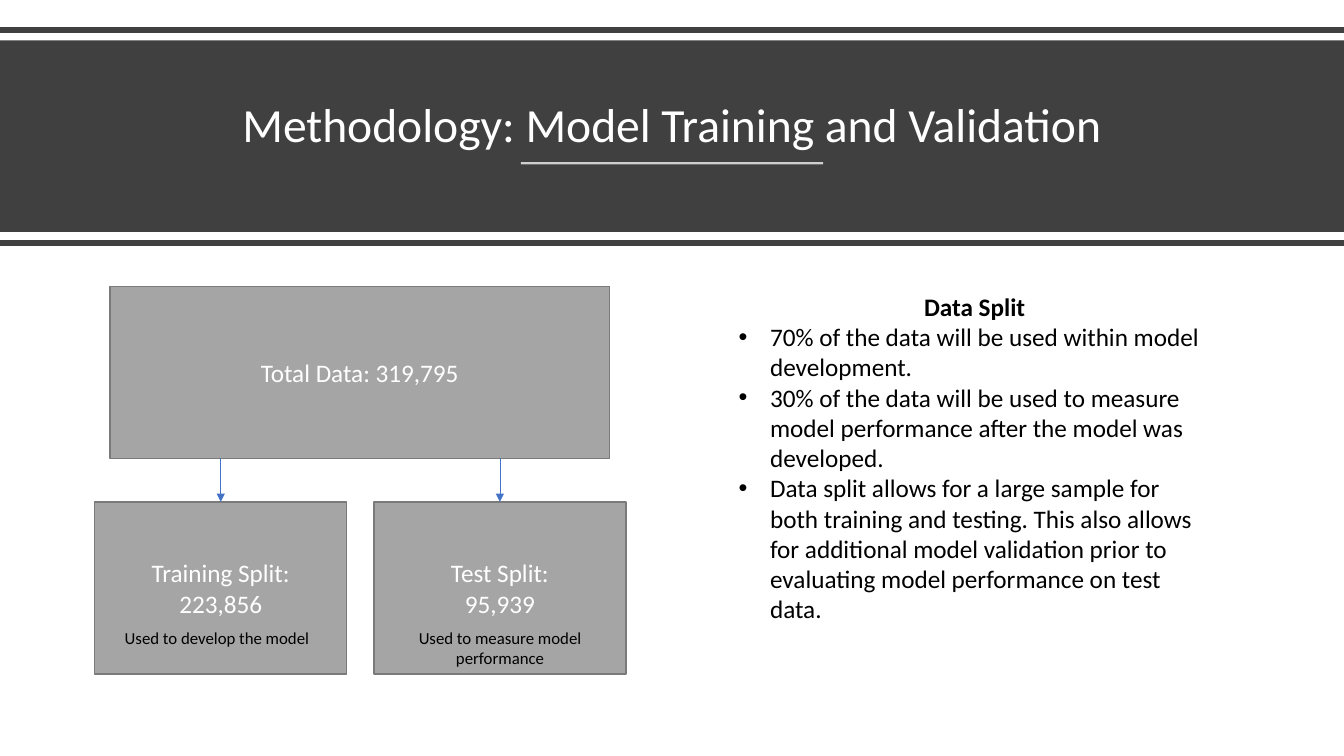
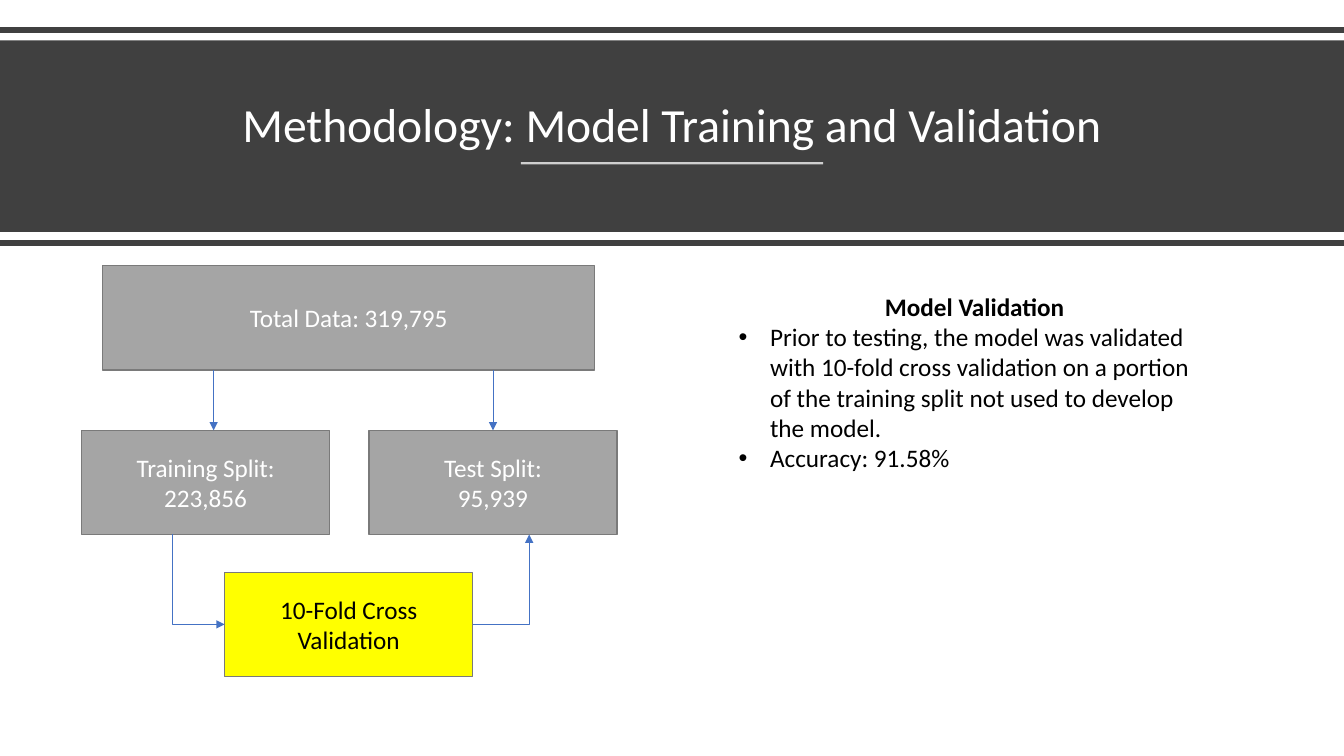
"""Build two slides on model training and validation."""
from dataclasses import dataclass

from lxml.etree import SubElement as Sub
from pptx import Presentation
from pptx.dml.color import RGBColor as RGB
from pptx.enum.shapes import MSO_CONNECTOR as Link, MSO_SHAPE as Form
from pptx.enum.text import MSO_ANCHOR as Anchor, MSO_AUTO_SIZE as Fit, PP_ALIGN as Align
from pptx.oxml.ns import qn
from pptx.util import Pt


@dataclass(frozen=True)
class Theme:
    font: str = "Calibri"
    dark: str = "404040"
    white: str = "FFFFFF"
    black: str = "000000"
    grey: str = "A5A5A5"
    edge: str = "7A7A7A"
    blue: str = "4472C4"
    yellow: str = "FFFF00"
    title: int = 34
    body: int = 18
    small: int = 12


class Deck:
    def __init__(self, theme):
        self.theme = theme
        self.show = Presentation()
        self.show.slide_width, self.show.slide_height = Pt(960), Pt(540)
        self.slide = None

    def page(self, title):
        look = self.theme
        self.slide = self.show.slides.add_slide(self.show.slide_layouts[6])
        self.line(0, 21.6, 960, 21.6, look.dark, 4)
        self.box(0, 28.8, 960, 136.8, fill=look.dark, edge=None)
        frame = self.text(42, 39, 876, 73.5, [title], look.title, look.white)
        frame.auto_size = Fit.NONE
        frame.vertical_anchor = Anchor.BOTTOM
        frame.paragraphs[0].line_spacing = 0.9
        rule = self.line(372, 116.6, 588, 116.6, look.white, 1.5)
        tint = next(rule.line._ln.iter(qn("a:srgbClr")))
        Sub(tint, qn("a:alpha"), val="75000")
        self.line(0, 173.5, 960, 173.5, look.dark, 4)

    def fill(self, frame, lines, size, color, align=Align.CENTER):
        frame.word_wrap = True
        for row, words in enumerate(lines):
            para = frame.add_paragraph() if row else frame.paragraphs[0]
            para.text = words
            para.alignment = align
            font = para.runs[0].font
            font.name, font.size = self.theme.font, Pt(size)
            font.color.rgb = RGB.from_string(color)

    def text(self, x, y, w, h, lines, size, color, align=Align.CENTER):
        frame = self.slide.shapes.add_textbox(Pt(x), Pt(y), Pt(w), Pt(h)).text_frame
        self.fill(frame, lines, size, color, align)
        frame.auto_size = Fit.SHAPE_TO_FIT_TEXT
        return frame

    def box(self, x, y, w, h, lines=(), fill=Theme.grey, edge=Theme.edge, ink=Theme.white):
        shape = self.slide.shapes.add_shape(Form.RECTANGLE, Pt(x), Pt(y), Pt(w), Pt(h))
        shape.shadow.inherit = False
        shape.fill.solid()
        shape.fill.fore_color.rgb = RGB.from_string(fill)
        if edge:
            shape.line.color.rgb = RGB.from_string(edge)
            shape.line.width = Pt(1)
        else:
            shape.line.fill.background()
        shape.text_frame.vertical_anchor = Anchor.MIDDLE
        self.fill(shape.text_frame, lines, self.theme.body, ink)

    def line(self, x1, y1, x2, y2, color, width, kind=Link.STRAIGHT):
        link = self.slide.shapes.add_connector(kind, Pt(x1), Pt(y1), Pt(x2), Pt(y2))
        link.line.color.rgb = RGB.from_string(color)
        link.line.width = Pt(width)
        Sub(link._element.spPr, qn("a:effectLst"))
        return link

    def arrow(self, x1, y1, x2, y2, end="tailEnd", kind=Link.STRAIGHT):
        link = self.line(x1, y1, x2, y2, self.theme.blue, 0.5, kind)
        Sub(link.line._ln, qn("a:" + end), type="triangle")
        return link

    def bend(self, x1, y1, x2, y2, end):
        link = self.arrow(x1, y1, x2, y2, end, Link.ELBOW)
        link._element.spPr.find(qn("a:prstGeom")).set("prst", "bentConnector2")

    def points(self, head, items):
        look = self.theme
        frame = self.text(520.5, 204.5, 351.5, 160, [head, *items], look.body, look.black)
        first, *rest = frame.paragraphs
        first.runs[0].font.bold = True
        for para in rest:
            para.alignment = Align.LEFT
            props = para._p.get_or_add_pPr()
            props.set("marL", str(Pt(22.5)))
            props.set("indent", str(-Pt(22.5)))
            Sub(props, qn("a:buFont"), typeface="Arial")
            Sub(props, qn("a:buChar"), char="•")

    def split(self, total, left, top, wide, high, gap, stems):
        x, y, w = total
        self.box(x, y, w, high, ["Total Data: 319,795"])
        parts = (["Training Split:", "223,856"], ["Test Split:", "95,939"])
        for col, (lines, stem) in enumerate(zip(parts, stems)):
            self.box(left + col * (wide + gap), top, wide, high, lines)
            self.arrow(stem, y + high, stem, top)


def main():
    look = Theme()
    deck = Deck(look)
    title = "Methodology: Model Training and Validation"

    deck.page(title)
    deck.split((78.5, 204.5, 357), 67.7, 358.5, 180, 123, 19.4, (157.7, 357.1))
    deck.text(82, 445, 150.5, 21.6, ["Used to develop the model"],
              look.small, look.black, Align.LEFT)
    deck.text(282, 445, 150.5, 36, ["Used to measure model performance"],
              look.small, look.black)
    deck.points("Data Split", [
        "70% of the data will be used within model development.",
        "30% of the data will be used to measure model performance after the model was developed.",
        "Data split allows for a large sample for both training and testing. This also allows for "
        "additional model validation prior to evaluating model performance on test data.",
    ])

    deck.page(title)
    deck.split((73.4, 189.8, 351.4), 58.3, 307.4, 177.2, 74.4, 28, (152.6, 352.2))
    deck.points("Model Validation", [
        "Prior to testing, the model was validated with 10-fold cross validation on a portion of "
        "the training split not used to develop the model.",
        "Accuracy: 91.58%",
    ])
    deck.box(160.5, 408.8, 177.2, 74.4, ["10-Fold Cross Validation"], look.yellow, ink=look.black)
    deck.bend(160.5, 446, 123.1, 381.8, "headEnd")
    deck.bend(337.7, 446, 378, 381.8, "tailEnd")

    deck.show.save("out.pptx")


if __name__ == "__main__":
    main()
